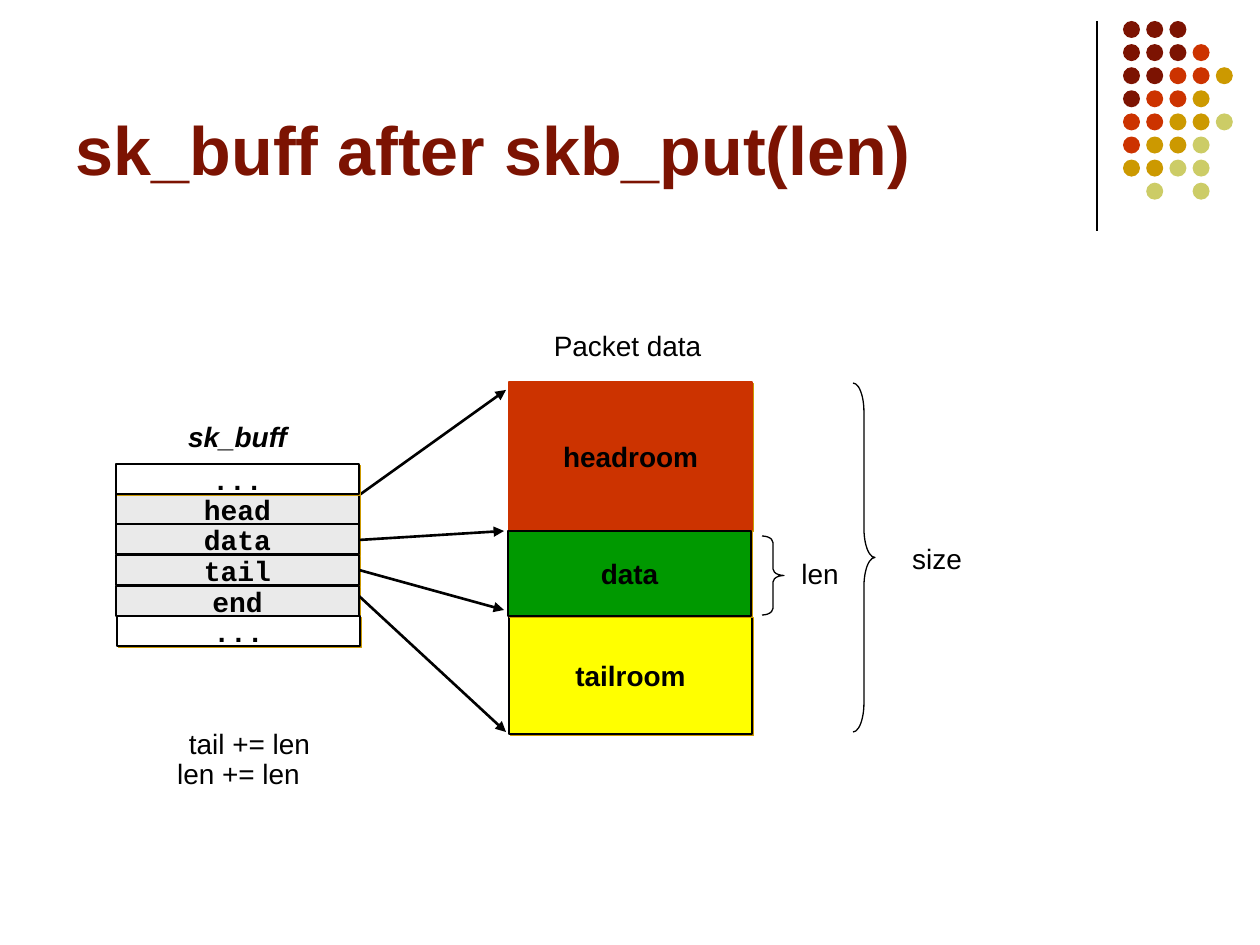
from dataclasses import dataclass

from lxml import etree
from pptx import Presentation
from pptx import util as u
from pptx.dml.color import RGBColor
from pptx.enum import shapes, text
from pptx.oxml.ns import qn

EMU_PER_PX = 914400 / 126


def px(n):
    return u.Emu(round(n * EMU_PER_PX))


@dataclass(frozen=True)
class Theme:
    ink: str = "000000"
    white: str = "FFFFFF"
    maroon: str = "7C1302"
    red: str = "CC3300"
    gold: str = "CC9900"
    olive: str = "CCCC66"
    grey: str = "EAEAEA"
    green: str = "009900"
    yellow: str = "FFFF00"
    sans: str = "Arial"
    mono: str = "Courier New"
    title: int = 39
    body: int = 16
    thin: float = 0.75
    thick: float = 1.5


THEME = Theme()


def write(sp, words, size=THEME.body, font=THEME.sans, color=THEME.ink, bold=False,
          italic=False, align=text.PP_ALIGN.CENTER, anchor=text.MSO_ANCHOR.MIDDLE,
          inset=(8, 3), wrap=False):
    tf = sp.text_frame
    tf.word_wrap = wrap
    tf.vertical_anchor = anchor
    tf.margin_left = tf.margin_right = px(inset[0])
    tf.margin_top = tf.margin_bottom = px(inset[1])
    p = tf.paragraphs[0]
    p.alignment = align
    r = p.add_run()
    r.text = words
    f = r.font
    f.name, f.size, f.bold, f.italic = font, u.Pt(size), bold, italic
    f.color.rgb = RGBColor.from_string(color)


class Canvas:
    def __init__(self, slide, theme):
        self.s = slide
        self.theme = theme

    def shape(self, kind, x, y, w, h, fill=None, line=None):
        sp = self.s.shapes.add_shape(kind, px(x), px(y), px(w), px(h))
        sp.shadow.inherit = False
        if fill:
            sp.fill.solid()
            sp.fill.fore_color.rgb = RGBColor.from_string(fill)
        else:
            sp.fill.background()
        if line:
            sp.line.color.rgb = RGBColor.from_string(line)
            sp.line.width = u.Pt(self.theme.thin)
        else:
            sp.line.fill.background()
        return sp

    def dot(self, x, y, color):
        self.shape(shapes.MSO_SHAPE.OVAL, x, y, 17, 17, color)

    def block(self, words, x, y, w, h, fill, line=None, **fmt):
        """Bold-lettered rectangle with a hard gold shadow."""
        sp = self.shape(shapes.MSO_SHAPE.RECTANGLE, x, y, w, h, fill, line or self.theme.ink)
        effects = sp._element.spPr.find(qn("a:effectLst"))
        shadow = etree.SubElement(effects, qn("a:outerShdw"), dist=str(u.Pt(1.4)),
                                  dir="2700000", algn="ctr", rotWithShape="0")
        etree.SubElement(shadow, qn("a:srgbClr"), val=self.theme.gold)
        write(sp, words, bold=True, **fmt)

    def label(self, words, x, y, w, h=30, **fmt):
        write(self.s.shapes.add_textbox(px(x), px(y), px(w), px(h)), words, **fmt)

    def brace(self, x, y, h, w=22):
        sp = self.shape(shapes.MSO_SHAPE.RIGHT_BRACE, x, y, w, h, line=self.theme.ink)
        sp.adjustments[0] = h / (12 * w)

    def line(self, x1, y1, x2, y2, width, arrow=False):
        c = self.s.shapes.add_connector(shapes.MSO_CONNECTOR.STRAIGHT,
                                        px(x1), px(y1), px(x2), px(y2))
        c.line.color.rgb = RGBColor.from_string(self.theme.ink)
        c.line.width = u.Pt(width)
        if arrow:
            etree.SubElement(c.line._get_or_add_ln(), qn("a:tailEnd"), type="triangle")
        etree.SubElement(c._element.spPr, qn("a:effectLst"))


def draw_corner(c):
    t = c.theme
    c.line(1097, 21, 1097, 231, t.thin)
    colors = {"m": t.maroon, "r": t.red, "g": t.gold, "o": t.olive}
    rows = ("mmm", "mmmr", "mmrrg", "mrrg", "rrggo", "rggo", "ggoo", " o o")
    for i, row in enumerate(rows):
        for j, key in enumerate(row):
            if key in colors:
                c.dot(1123 + 23.2 * j, 21 + 23.1 * i, colors[key])


def draw_diagram(c):
    t = c.theme
    width = 243

    def field(words, i, fill, x=116):
        c.block(words, x, round(463.5 + 30.5 * i), width, 30, fill, font=t.mono)

    c.label("sk_buff", 116, 421, width, bold=True, italic=True)
    for i, words in enumerate(("head", "data", "tail", "end"), 1):
        field(words, i, t.grey)

    c.block("headroom", 509, 382, width, 148, t.red, t.red)
    c.label("Packet data", 506, 330, width)

    for ends in ((358, 496, 506, 390), (359, 540, 504, 531),
                 (359, 596, 506, 732), (359, 570, 504, 610)):
        c.line(*ends, t.thick, arrow=True)

    field("...", 0, t.white)
    field("...", 5, t.white, x=117)

    c.block("tailroom", 509, 616, width, 118, t.yellow)
    c.block("data", 508, 531, width, 85, t.green)

    c.brace(762, 536, 79)
    c.label("len", 778, 558, 84)
    c.brace(853, 383, 349)
    c.label("size", 895, 543, 84)

    c.label("tail += len", 128, 728, width)
    c.label("len += len", 117, 758, width)


def main():
    prs = Presentation()
    prs.slide_width, prs.slide_height = px(1260), px(945)
    c = Canvas(prs.slides.add_slide(prs.slide_layouts[6]), THEME)
    draw_corner(c)
    draw_diagram(c)
    c.label("sk_buff after skb_put(len)", 63, 16, 1040, 179, size=THEME.title,
            color=THEME.maroon, bold=True, align=text.PP_ALIGN.LEFT,
            anchor=text.MSO_ANCHOR.BOTTOM, inset=(13, 6), wrap=True)
    prs.save("out.pptx")


if __name__ == "__main__":
    main()
